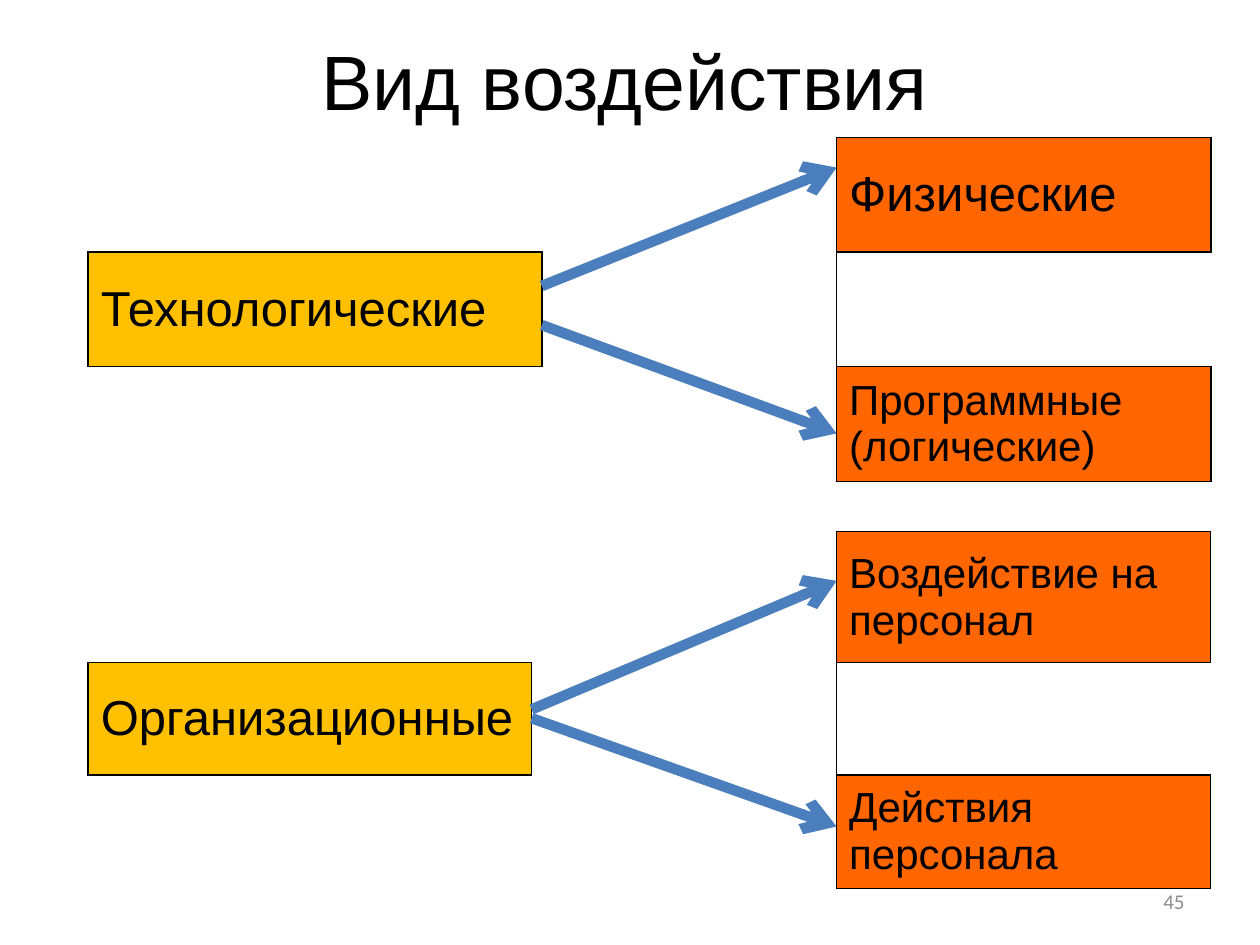
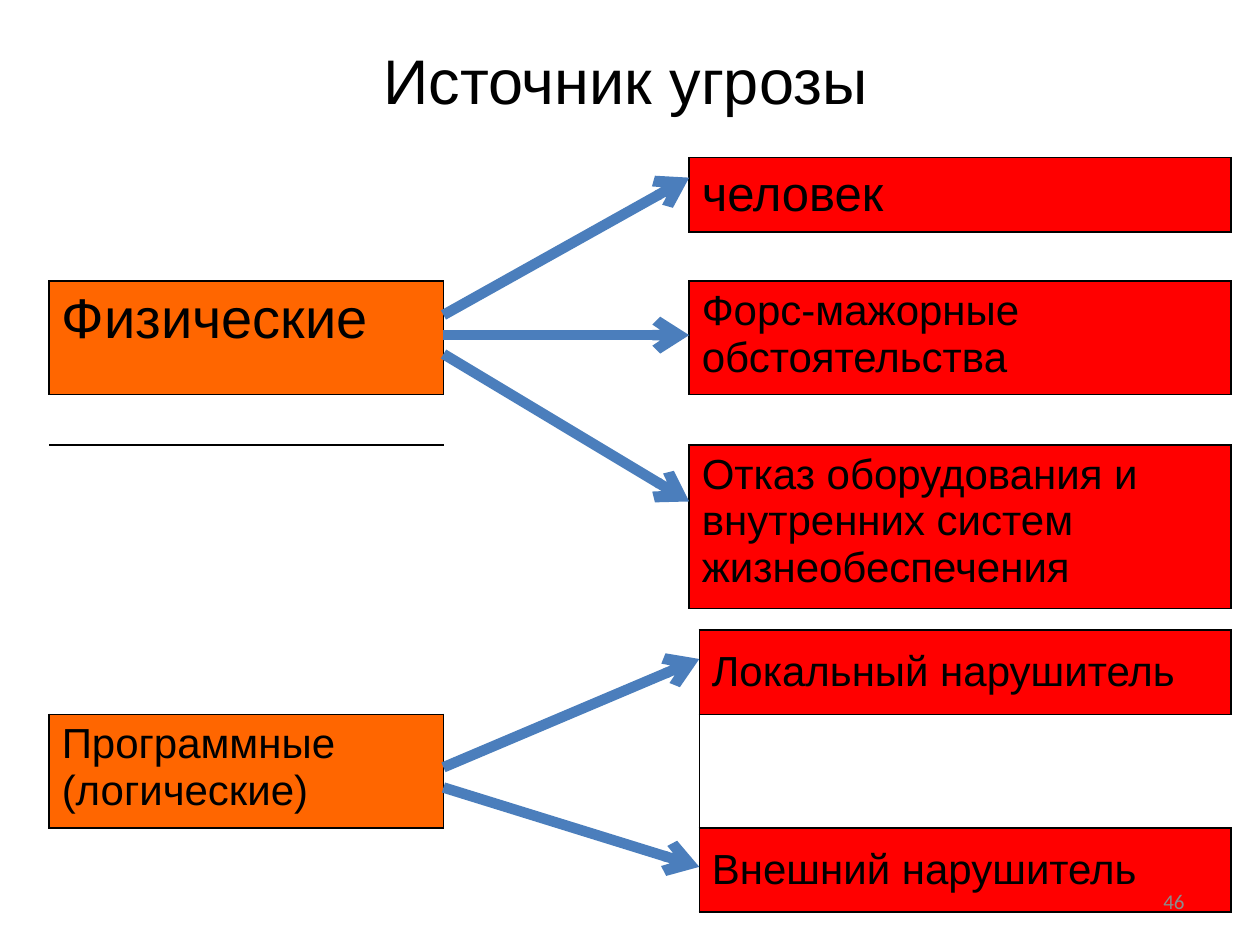
"""Build two slides that map kinds of influence and sources of threat."""
from dataclasses import dataclass

from lxml.etree import SubElement
from pptx import Presentation
from pptx.dml.color import RGBColor
from pptx.enum.shapes import MSO_CONNECTOR as Connector
from pptx.enum.text import MSO_ANCHOR as Anchor, PP_ALIGN as Align
from pptx.oxml.ns import qn
from pptx.slide import Slide
from pptx.table import Table
from pptx.util import Inches, Pt


@dataclass(frozen=True)
class Theme:
    font: str = "Arial"
    number_font: str = "Calibri"
    ink: str = "000000"
    number_ink: str = "8C8C8C"
    arrow: str = "4B7EBC"
    kind: str = "FFC000"
    method: str = "FF6600"
    source: str = "FF0000"
    large: int = 28
    normal: int = 24
    number: int = 12
    border_width: int = 1
    arrow_width: int = 6
    plain_table: str = "{2D5ABB26-0587-4C30-8999-92F81FD0307C}"


THEME = Theme()
SIDES = {"L": (0, -1, "R"), "R": (0, 1, "L"), "T": (-1, 0, "B"), "B": (1, 0, "T")}


@dataclass(frozen=True)
class Node:
    row: int
    column: int
    text: str
    fill: str
    size: int = THEME.normal
    anchor: Anchor = Anchor.MIDDLE


@dataclass(frozen=True)
class Scheme:
    """A table of nodes; arrows are start and end heights across its middle column."""
    left: float
    top: float
    columns: tuple[float, ...]
    rows: tuple[float, ...]
    nodes: tuple[Node, ...]
    arrows: tuple[tuple[float, float], ...]
    extra_borders: tuple[tuple[int, int, str], ...] = ((1, 2, "L"),)


@dataclass(frozen=True)
class Topic:
    title: str
    title_size: int
    title_left: float
    title_top: float
    title_width: float
    number: str
    schemes: tuple[Scheme, ...]


TOPICS = (
    Topic("Вид воздействия", 44, 0.39, 0.22, 9.14, "45", (
        Scheme(0.7, 1.09, (3.6, 2.34, 2.97), (0.91,) * 3, (
            Node(0, 2, "Физические", THEME.method, THEME.large),
            Node(1, 0, "Технологические", THEME.kind, THEME.large),
            Node(2, 2, "Программные (логические)", THEME.method),
        ), ((2.27, 1.33), (2.58, 3.44))),
        Scheme(0.7, 4.22, (3.52, 2.42, 2.97), (1.04, 0.89, 0.89), (
            Node(0, 2, "Воздействие на персонал", THEME.method),
            Node(1, 0, "Организационные", THEME.kind, THEME.large),
            Node(2, 2, "Действия персонала", THEME.method),
        ), ((5.63, 4.61), (5.7, 6.56))),
    )),
    Topic("Источник угрозы", 36, 0.16, 0.28, 9.61, "46", (
        Scheme(0.39, 1.25, (3.13, 1.95, 4.3), (0.59, 0.39, 0.9, 0.4, 1.3), (
            Node(0, 2, "человек", THEME.source, THEME.large),
            Node(2, 0, "Физические", THEME.method, 32, Anchor.TOP),
            Node(2, 2, "Форс-мажорные обстоятельства", THEME.source, anchor=Anchor.TOP),
            Node(4, 2, "Отказ оборудования и внутренних систем жизнеобеспечения",
                 THEME.source, anchor=Anchor.TOP),
        ), ((2.5, 1.41), (2.66, 2.66), (2.81, 3.98)), ((3, 0, "B"),)),
        Scheme(0.39, 5, (3.13, 2.03, 4.22), (0.67, 0.9, 0.67), (
            Node(0, 2, "Локальный нарушитель", THEME.source),
            Node(1, 0, "Программные (логические)", THEME.method, anchor=Anchor.TOP),
            Node(2, 2, "Внешний нарушитель", THEME.source),
        ), ((6.09, 5.23), (6.25, 6.88))),
    )),
)


def style_text(frame, size: int, color: str, font: str, align: Align = Align.LEFT) -> None:
    for para in frame.paragraphs:
        para.alignment = align
        for span in para.runs:
            span.font.size = Pt(size)
            span.font.name = font
            span.font.color.rgb = RGBColor.from_string(color)


def add_label(page: Slide, text: str, bounds: tuple[float, ...], size: int, color: str,
              font: str, align: Align, anchor: Anchor) -> None:
    box = page.shapes.add_textbox(*map(Inches, bounds))
    frame = box.text_frame
    frame.word_wrap = True
    frame.vertical_anchor = anchor
    frame.text = text
    style_text(frame, size, color, font, align)


def draw_borders(table: Table, scheme: Scheme) -> None:
    edges = {(node.row, node.column, side) for node in scheme.nodes for side in SIDES}
    edges.update(scheme.extra_borders)
    for row, column, side in tuple(edges):
        down, across, opposite = SIDES[side]
        edges.add((row + down, column + across, opposite))
    for row in range(len(scheme.rows)):
        for column in range(len(scheme.columns)):
            properties = table.cell(row, column)._tc.get_or_add_tcPr()
            for side in SIDES:
                if (row, column, side) in edges:
                    line = SubElement(properties, qn(f"a:ln{side}"),
                                      w=str(Pt(THEME.border_width)))
                    fill = SubElement(line, qn("a:solidFill"))
                    SubElement(fill, qn("a:srgbClr"), val=THEME.ink)


def add_scheme_table(page: Slide, scheme: Scheme) -> None:
    bounds = (scheme.left, scheme.top, sum(scheme.columns), sum(scheme.rows))
    table = page.shapes.add_table(len(scheme.rows), len(scheme.columns),
                                  *map(Inches, bounds)).table
    table.first_row = table.horz_banding = False
    table._tbl.tblPr.find(qn("a:tableStyleId")).text = THEME.plain_table
    for column, width in zip(table.columns, scheme.columns):
        column.width = Inches(width)
    for row, height in zip(table.rows, scheme.rows):
        row.height = Inches(height)
    draw_borders(table, scheme)
    for cell in table.iter_cells():
        cell.margin_top = cell.margin_bottom = 0
        cell.fill.background()
    for node in scheme.nodes:
        cell = table.cell(node.row, node.column)
        cell.margin_top = cell.margin_bottom = Inches(0.05)
        cell.fill.solid()
        cell.fill.fore_color.rgb = RGBColor.from_string(node.fill)
        cell.vertical_anchor = node.anchor
        cell.text_frame.text = node.text
        style_text(cell.text_frame, node.size, THEME.ink, THEME.font)


def add_arrows(page: Slide, scheme: Scheme) -> None:
    start_x = scheme.left + scheme.columns[0]
    end_x = start_x + scheme.columns[1]
    for start_y, end_y in scheme.arrows:
        arrow = page.shapes.add_connector(
            Connector.STRAIGHT, *map(Inches, (start_x, start_y, end_x, end_y)))
        arrow.line.color.rgb = RGBColor.from_string(THEME.arrow)
        arrow.line.width = Pt(THEME.arrow_width)
        properties = arrow.element.spPr
        SubElement(properties.find(qn("a:ln")), qn("a:tailEnd"), type="arrow")
        SubElement(properties, qn("a:effectLst"))


def add_topic(deck, topic: Topic) -> None:
    page = deck.slides.add_slide(deck.slide_layouts[6])
    add_label(page, topic.title, (topic.title_left, topic.title_top, topic.title_width, 0.8),
              topic.title_size, THEME.ink, THEME.font, Align.CENTER, Anchor.TOP)
    for scheme in topic.schemes:
        add_scheme_table(page, scheme)
        add_arrows(page, scheme)
    add_label(page, topic.number, (7.17, 6.95, 2.33, 0.4), THEME.number,
              THEME.number_ink, THEME.number_font, Align.RIGHT, Anchor.MIDDLE)


def main() -> None:
    deck = Presentation()
    deck.slide_width, deck.slide_height = Inches(10), Inches(7.5)
    for topic in TOPICS:
        add_topic(deck, topic)
    deck.save("out.pptx")


if __name__ == "__main__":
    main()
